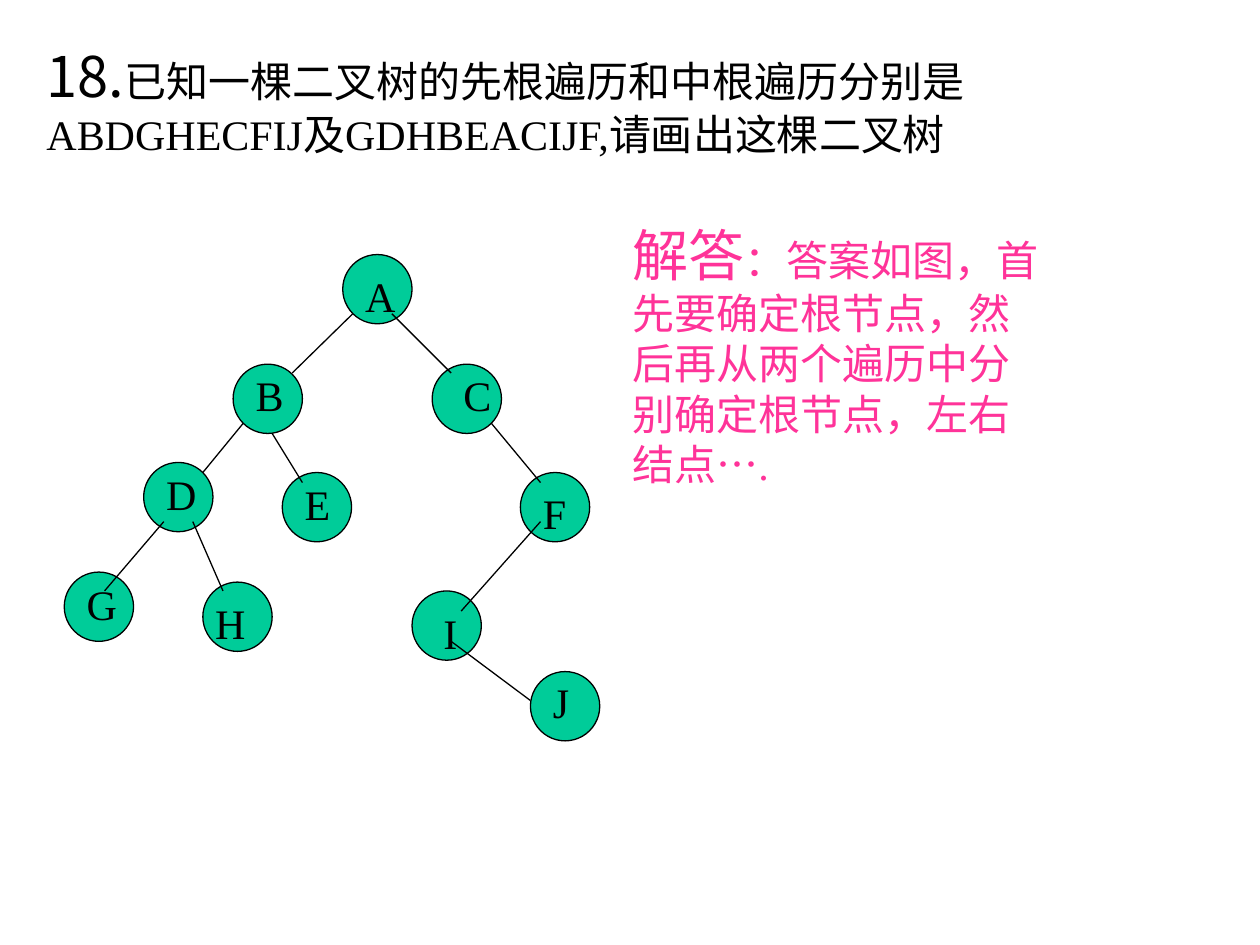
from dataclasses import dataclass

from lxml import etree
from pptx import Presentation
from pptx.dml.color import RGBColor
from pptx.enum.lang import MSO_LANGUAGE_ID
from pptx.enum.shapes import MSO_CONNECTOR, MSO_SHAPE
from pptx.enum.text import MSO_AUTO_SIZE
from pptx.oxml.ns import qn
from pptx.util import Inches, Pt

CIRCLE = MSO_SHAPE.OVAL
STRAIGHT = MSO_CONNECTOR.STRAIGHT
FIT_TEXT = MSO_AUTO_SIZE.SHAPE_TO_FIT_TEXT
CHINESE = MSO_LANGUAGE_ID.SIMPLIFIED_CHINESE


@dataclass(frozen=True)
class Theme:
    ink: RGBColor = RGBColor(0x00, 0x00, 0x00)
    node: RGBColor = RGBColor(0x00, 0xCC, 0x99)
    answer: RGBColor = RGBColor(0xFF, 0x33, 0x99)
    serif: str = "Times New Roman"
    sans: str = "Noto Sans CJK SC"
    lead_size: Pt = Pt(32)
    body_size: Pt = Pt(24)
    line_width: Pt = Pt(0.75)


THEME = Theme()
NODE_SIZE = 0.55
LABEL_HEIGHT = 0.4

NODES = {
    "A": (2.72, 2.02),
    "B": (1.85, 2.89),
    "C": (3.43, 2.89),
    "D": (1.14, 3.67),
    "E": (2.24, 3.75),
    "G": (0.51, 4.54),
    "I": (3.27, 4.69),
    "F": (4.13, 3.75),
    "H": (1.61, 4.62),
    "J": (4.21, 5.33),
}

BRANCHES = {
    "AB": (2.8, 2.49, 2.32, 2.96),
    "BD": (1.93, 3.36, 1.61, 3.75),
    "DG": (1.3, 4.14, 0.83, 4.69),
    "BE": (2.16, 3.44, 2.4, 3.83),
    "DH": (1.53, 4.14, 1.77, 4.69),
    "AC": (3.11, 2.49, 3.58, 2.96),
    "CF": (3.9, 3.36, 4.29, 3.83),
    "FI": (4.29, 4.14, 3.66, 4.85),
    "IJ": (3.58, 5.09, 4.21, 5.56),
}

LABELS = {
    "A": (2.8, 2.1, 0.31),
    "B": (1.93, 2.88, 0.39),
    "D": (1.22, 3.67, 0.55),
    "E": (2.32, 3.75, 0.39),
    "G": (0.59, 4.54, 0.47),
    "H": (1.61, 4.69, 0.47),
    "C": (3.58, 2.88, 0.24),
    "F": (4.21, 3.82, 0.55),
    "I": (3.42, 4.77, 0.47),
    "J": (4.29, 5.32, 0.39),
}


def add_paragraph_box(slide, left, top, width, height, color):
    frame = slide.shapes.add_textbox(
        Inches(left), Inches(top), Inches(width), Inches(height)
    ).text_frame
    frame.word_wrap = True
    frame.auto_size = FIT_TEXT
    paragraph = frame.paragraphs[0]
    paragraph.font.color.rgb = color
    return paragraph


def add_chinese_run(paragraph, text, size, latin):
    run = paragraph.add_run()
    run.text = text
    run.font.size = size
    run.font.name = latin
    run.font.language_id = CHINESE
    east_asian = etree.SubElement(run.font._element, qn("a:ea"))
    east_asian.set("typeface", THEME.sans)


def add_passage(slide, box, color, lead, lead_font, body):
    paragraph = add_paragraph_box(slide, *box, color)
    add_chinese_run(paragraph, lead, THEME.lead_size, lead_font)
    add_chinese_run(paragraph, body, THEME.body_size, THEME.serif)


def add_node(slide, left, top):
    node = slide.shapes.add_shape(
        CIRCLE, Inches(left), Inches(top), Inches(NODE_SIZE), Inches(NODE_SIZE)
    )
    node.shadow.inherit = False
    node.fill.solid()
    node.fill.fore_color.rgb = THEME.node
    node.line.color.rgb = THEME.ink
    node.line.width = THEME.line_width


def add_branch(slide, *ends):
    branch = slide.shapes.add_connector(STRAIGHT, *map(Inches, ends))
    branch.line.color.rgb = THEME.ink
    branch.line.width = THEME.line_width
    etree.SubElement(branch._element.spPr, qn("a:effectLst"))


def add_label(slide, letter, left, top, width):
    paragraph = add_paragraph_box(slide, left, top, width, LABEL_HEIGHT, THEME.ink)
    paragraph.text = letter
    paragraph.font.size = THEME.body_size
    paragraph.font.name = THEME.serif


def main():
    presentation = Presentation()
    presentation.slide_width = Inches(10)
    presentation.slide_height = Inches(7.5)
    slide = presentation.slides.add_slide(presentation.slide_layouts[6])

    add_passage(
        slide, (0.27, 0.28, 9.45, 0.93), THEME.ink, "18.", THEME.sans,
        "已知一棵二叉树的先根遍历和中根遍历分别是ABDGHECFIJ及GDHBEACIJF,请画出这棵二叉树",
    )
    for position in NODES.values():
        add_node(slide, *position)
    for ends in BRANCHES.values():
        add_branch(slide, *ends)
    for letter, place in LABELS.items():
        add_label(slide, letter, *place)
    add_passage(
        slide, (4.92, 1.7, 3.46, 1.53), THEME.answer, "解答", THEME.serif,
        "：答案如图，首先要确定根节点，然后再从两个遍历中分别确定根节点，左右结点….",
    )
    presentation.save("out.pptx")


if __name__ == "__main__":
    main()
